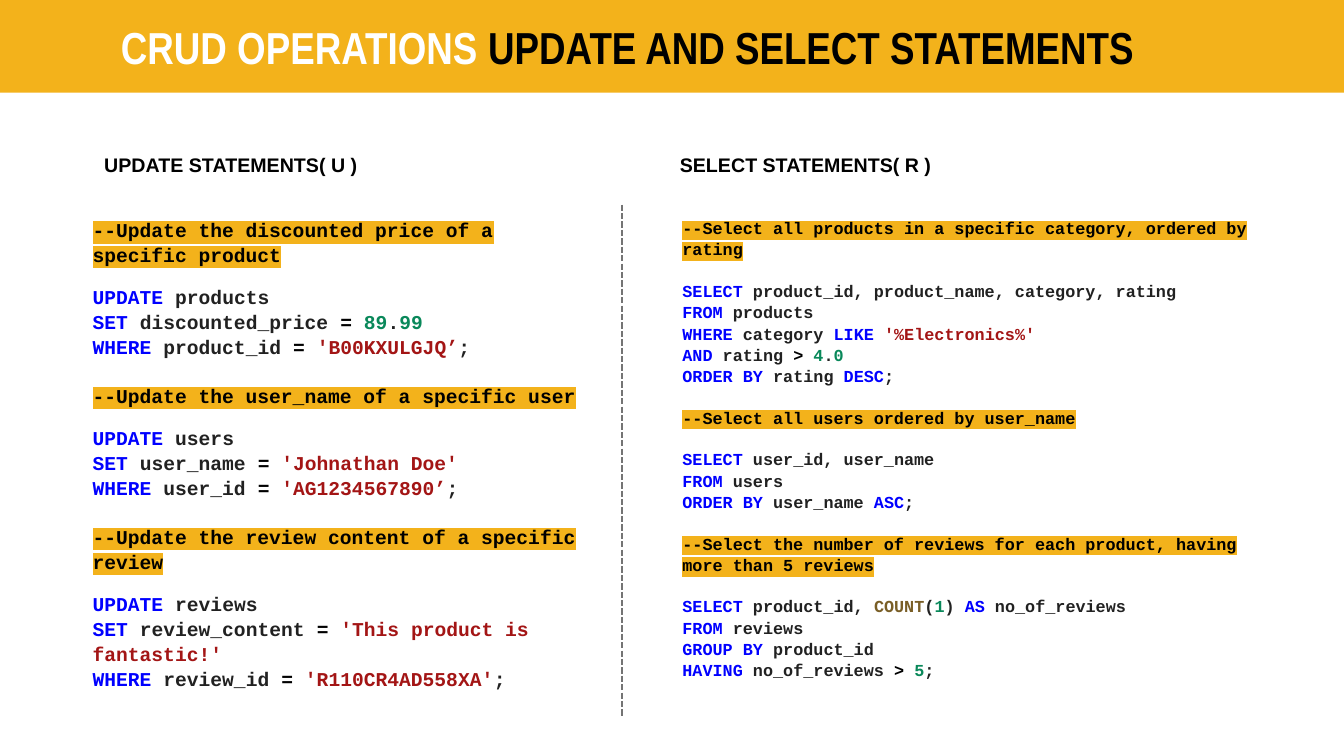
from dataclasses import dataclass

from lxml import etree
from pptx import Presentation
from pptx import util as u
from pptx.dml.color import RGBColor
from pptx.enum import dml, shapes, text
from pptx.oxml.ns import qn

COLORS = {
    "amber": "F3B21B",
    "white": "FFFFFF",
    "black": "000000",
    "divider": "747474",
    "keyword": "0000FF",
    "plain": "212121",
    "number": "09885A",
    "string": "A31515",
    "function": "795E26",
}
KEYWORDS = {"UPDATE", "SET", "WHERE", "SELECT", "FROM", "LIKE", "AND",
            "ORDER BY", "GROUP BY", "HAVING", "ASC", "DESC", "AS"}
CODE_LINE_SPACING = 1.06


@dataclass(frozen=True)
class Heading:
    title: str
    left: float


@dataclass(frozen=True)
class Listing:
    """SQL in a column; "|" parts the differently coloured pieces of a line."""
    left: float
    width: float
    height: float
    size: float
    gap_before: float
    gap_after: float
    sql: str


HEADINGS = [
    Heading("UPDATE STATEMENTS( U )", -0.22),
    Heading("SELECT STATEMENTS( R )", 5.48),
]

LISTINGS = [
    Listing(0.82, 5.15, 4.64, 14, 17, 12.5, """\
--Update the discounted price of a specific product
UPDATE| products
SET| discounted_price |= |89|.|99
WHERE| product_id |= |'B00KXULGJQ’|;
--Update the user_name of a specific user
UPDATE| users
SET| user_name |= |'Johnathan Doe'
WHERE| user_id |= |'AG1234567890’|;
--Update the review content of a specific review
UPDATE| reviews
SET| review_content |= |'This product is fantastic!'
WHERE| review_id |= |'R110CR4AD558XA'|;"""),
    Listing(6.67, 5.97, 4.54, 12, 14.4, 14.4, """\
--Select all products in a specific category, ordered by rating
SELECT| product_id, product_name, category, rating
FROM| products
WHERE| category |LIKE |'%Electronics%'
AND| rating |> |4|.|0
ORDER BY| rating |DESC|;
--Select all users ordered by user_name
SELECT| user_id, user_name
FROM| users
ORDER BY| user_name |ASC|;
--Select the number of reviews for each product, having more than 5 reviews
SELECT| product_id, |COUNT|(|1|) |AS |no_of_reviews
FROM| reviews
GROUP BY| product_id
HAVING |no_of_reviews |> |5|;"""),
]


def color_of(piece: str) -> str:
    """Name the colour that suits a piece of SQL."""
    word = piece.strip()
    if word in KEYWORDS:
        return "keyword"
    if word.startswith("'"):
        return "string"
    if word.isdigit():
        return "number"
    if word == "COUNT":
        return "function"
    if word in ("=", ">") or word.startswith("--"):
        return "black"
    return "plain"


def add_span(para, content: str, *, font: str, size: float,
             color: str = "black", highlight: str | None = None) -> None:
    span = para.add_run()
    span.text = content
    span.font.name = font
    span.font.size = u.Pt(size)
    span.font.bold = True
    span.font.color.rgb = RGBColor.from_string(COLORS[color])
    if highlight:
        mark = etree.Element(qn("a:highlight"))
        etree.SubElement(mark, qn("a:srgbClr"), val=COLORS[highlight])
        span.font._element.find(qn("a:solidFill")).addnext(mark)


def add_text_box(page, left: float, top: float, width: float, height: float):
    """Add a wrapping text box and return its text frame."""
    box = page.shapes.add_textbox(*map(u.Inches, (left, top, width, height)))
    frame = box.text_frame
    frame.word_wrap = True
    frame.auto_size = text.MSO_AUTO_SIZE.SHAPE_TO_FIT_TEXT
    return frame


def add_banner(page) -> None:
    banner = page.shapes.add_shape(
        shapes.MSO_SHAPE.RECTANGLE, 0, 0, u.Inches(13.33), u.Inches(0.92))
    banner.shadow.inherit = False
    banner.fill.solid()
    banner.fill.fore_color.rgb = RGBColor.from_string(COLORS["amber"])
    banner.line.fill.background()
    frame = banner.text_frame
    frame.vertical_anchor = text.MSO_ANCHOR.MIDDLE
    frame.margin_left = u.Inches(1.2)
    para = frame.paragraphs[0]
    para.alignment = text.PP_ALIGN.LEFT
    for content, color in (("CRUD OPERATIONS ", "white"),
                           ("UPDATE AND SELECT STATEMENTS", "black")):
        add_span(para, content, font="Arial Narrow", size=32, color=color)


def add_heading(page, heading: Heading) -> None:
    para = add_text_box(page, heading.left, 1.47, 5.02, 0.34).paragraphs[0]
    para.alignment = text.PP_ALIGN.CENTER
    add_span(para, heading.title, font="Arial", size=14)


def add_listing(page, listing: Listing) -> None:
    frame = add_text_box(page, listing.left, 2.1, listing.width, listing.height)
    for index, line in enumerate(listing.sql.splitlines()):
        para = frame.add_paragraph() if index else frame.paragraphs[0]
        para.line_spacing = CODE_LINE_SPACING
        is_comment = line.startswith("--")
        if is_comment:
            para.space_before = u.Pt(listing.gap_before if index else 0)
            para.space_after = u.Pt(listing.gap_after)
        for piece in line.split("|"):
            add_span(para, piece, font="Courier New", size=listing.size,
                     color=color_of(piece),
                     highlight="amber" if is_comment else None)


def add_divider(page) -> None:
    divider = page.shapes.add_connector(
        shapes.MSO_CONNECTOR.STRAIGHT,
        *map(u.Inches, (6.17, 2.03, 6.17, 7.1)))
    divider.line.color.rgb = RGBColor.from_string(COLORS["divider"])
    divider.line.width = u.Pt(1.5)
    divider.line.dash_style = dml.MSO_LINE.SQUARE_DOT
    etree.SubElement(divider._element.spPr, qn("a:effectLst"))


def main() -> None:
    deck = Presentation()
    deck.slide_width, deck.slide_height = u.Inches(13.33), u.Inches(7.5)
    page = deck.slides.add_slide(deck.slide_layouts[6])
    add_banner(page)
    for heading, listing in zip(HEADINGS, LISTINGS):
        add_heading(page, heading)
        add_listing(page, listing)
    add_divider(page)
    deck.save("out.pptx")


if __name__ == "__main__":
    main()
